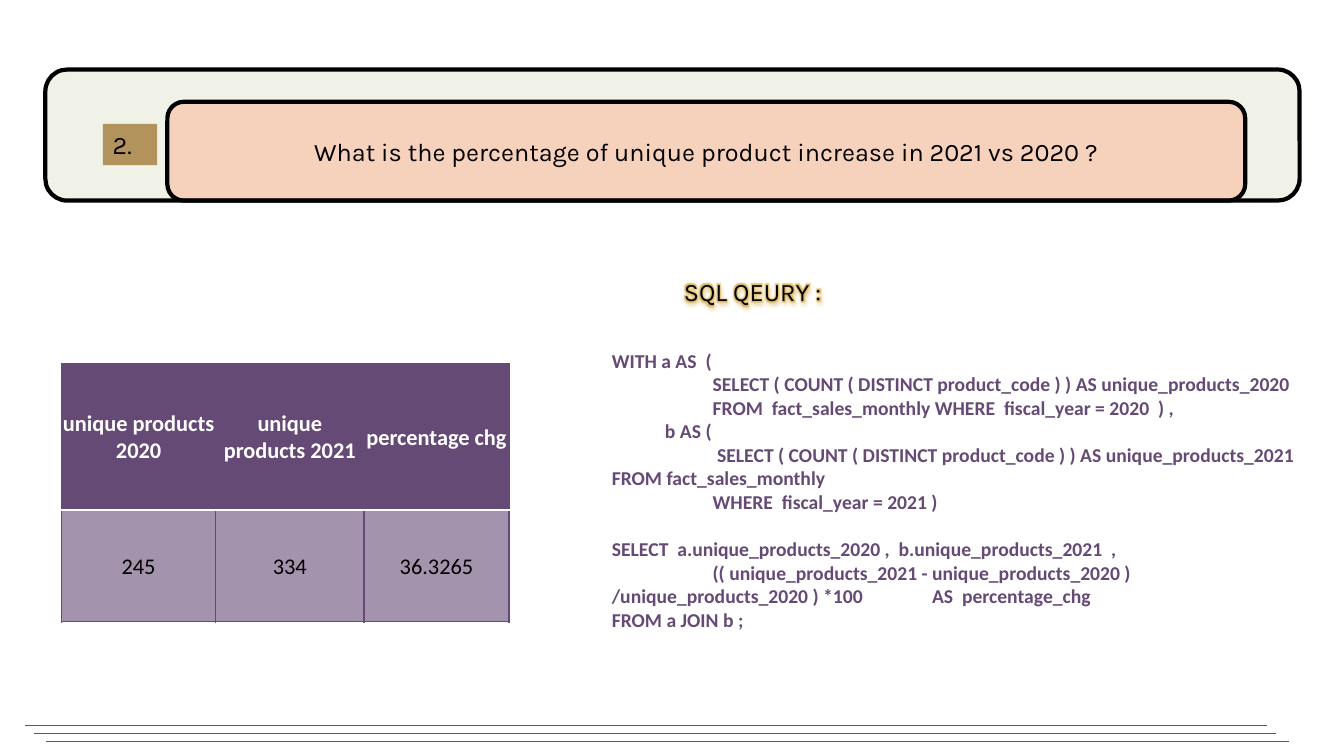
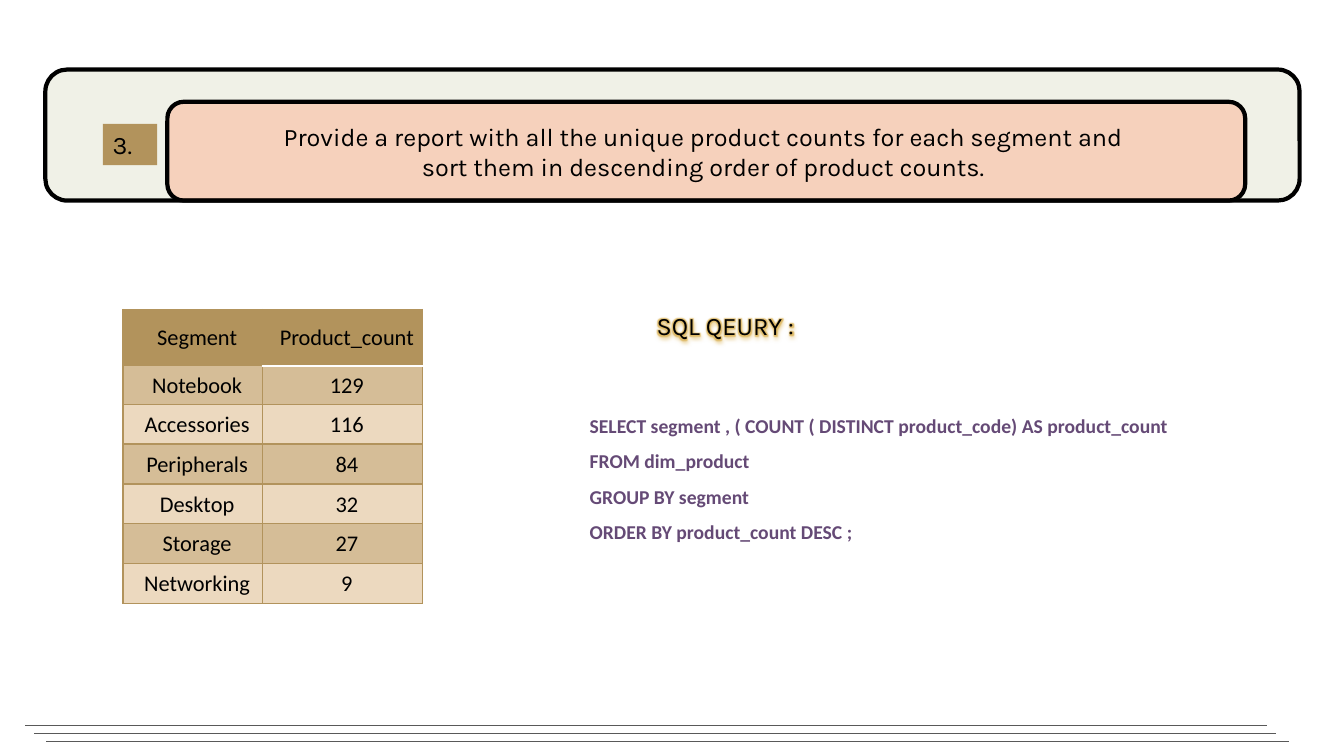
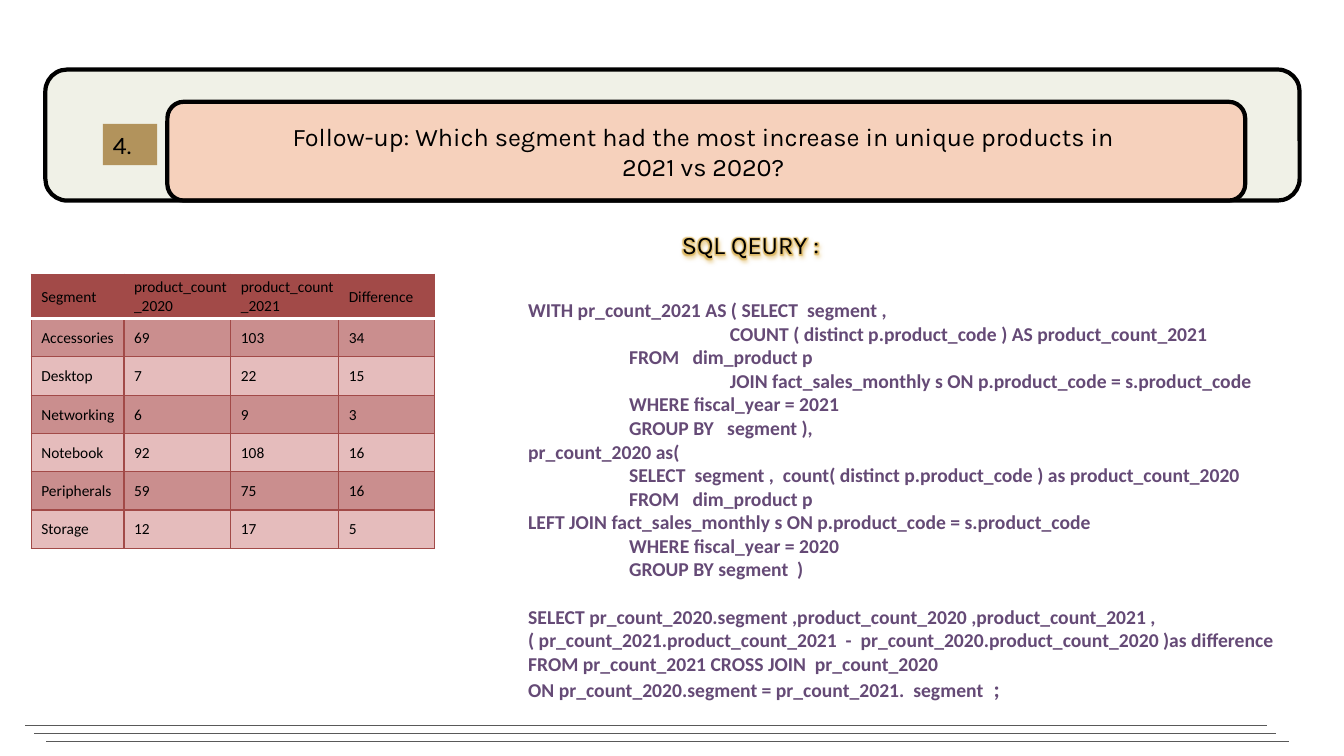
from dataclasses import dataclass

from pptx import Presentation
from pptx.dml.color import RGBColor
from pptx.enum.shapes import MSO_CONNECTOR, MSO_SHAPE
from pptx.enum.text import MSO_ANCHOR, MSO_AUTO_SIZE, PP_ALIGN
from pptx.oxml import parse_xml
from pptx.oxml.ns import nsdecls, qn
from pptx.util import Inches, Pt


@dataclass(frozen=True)
class Theme:
    heading_font: str = "Karla"
    body_font: str = "Calibri"
    heading_size: int = 18
    code_size: int = 14
    text: str = "000000"
    light: str = "FFFFFF"
    band: str = "F0F1E7"
    question: str = "FDB292"
    purple: str = "654A76"
    purple_band: str = "A393AD"
    gold: str = "B2935C"
    gold_band: str = "D5BD97"
    gold_tint: str = "ECD9BF"
    red: str = "A24A48"
    red_band: str = "CA8E8E"
    red_tint: str = "E5BCBC"
    glow: str = "E0BC6A"
    rule: str = "595959"


THEME = Theme()


@dataclass(frozen=True)
class TableStyle:
    accent: str
    fills: tuple
    size: int
    align: PP_ALIGN = PP_ALIGN.CENTER
    header_color: str = THEME.text
    header_bold: bool = False
    left_margin: float = 0.1
    rule_from: int = 0  # first column with a white rule under its header


def rgb(value):
    return RGBColor.from_string(value)


def place(shape, left, top, width, height):
    shape.left, shape.top = Inches(left), Inches(top)
    shape.width, shape.height = Inches(width), Inches(height)


def add_run(paragraph, text, font, size, color, bold=False):
    run = paragraph.add_run()
    run.text = text
    run.font.name = font
    run.font.size = Pt(size)
    run.font.bold = bold
    run.font.color.rgb = rgb(color)
    return run


def add_heading_run(paragraph, text):
    return add_run(paragraph, text, THEME.heading_font, THEME.heading_size, THEME.text)


def add_box(slide, preset, bounds, fill, outlined=False):
    shape = slide.shapes.add_shape(preset, *map(Inches, bounds))
    shape.shadow.inherit = False
    shape.fill.solid()
    shape.fill.fore_color.rgb = rgb(fill)
    if outlined:
        shape.line.color.rgb = rgb(THEME.text)
        shape.line.width = Pt(3)
    else:
        shape.line.fill.background()
    return shape


def add_text_box(slide, bounds):
    text_box = slide.shapes.add_textbox(*map(Inches, bounds))
    text_box.text_frame.word_wrap = True
    return text_box


def format_title(title, bounds, lines):
    place(title, *bounds)
    frame = title.text_frame
    frame.auto_size = MSO_AUTO_SIZE.NONE
    frame.vertical_anchor = MSO_ANCHOR.MIDDLE
    paragraph = frame.paragraphs[0]
    paragraph.alignment = PP_ALIGN.CENTER
    for index, line in enumerate(lines):
        if index:
            paragraph.add_line_break()
        add_heading_run(paragraph, line)


def add_question_header(slide, number, lines):
    band = add_box(slide, MSO_SHAPE.ROUNDED_RECTANGLE,
                   (0.45, 0.69, 12.44, 1.3), THEME.band, outlined=True)
    panel_bounds = (1.66, 1.01, 10.69, 0.98)
    panel = add_box(slide, MSO_SHAPE.ROUNDED_RECTANGLE, panel_bounds,
                    THEME.question, outlined=True)
    panel_color = panel._element.spPr.find(qn("a:solidFill"))[0]
    panel_color.append(parse_xml(f'<a:alpha {nsdecls("a")} val="50000"/>'))
    title = slide.shapes.title
    for backdrop in (band, panel):
        title._element.addprevious(backdrop._element)
    format_title(title, panel_bounds, lines)
    badge = add_box(slide, MSO_SHAPE.RECTANGLE, (1.02, 1.23, 0.54, 0.41), THEME.gold)
    badge.text_frame.vertical_anchor = MSO_ANCHOR.TOP
    paragraph = badge.text_frame.paragraphs[0]
    paragraph.alignment = PP_ALIGN.LEFT
    add_heading_run(paragraph, f"{number}.")


def add_footer_rules(slide):
    for left, top in ((0.25, 7.2), (0.34, 7.28), (0.46, 7.36)):
        rule = slide.shapes.add_connector(
            MSO_CONNECTOR.STRAIGHT, Inches(left), Inches(top),
            Inches(left + 12.32), Inches(top))
        rule.line.color.rgb = rgb(THEME.rule)
        rule.line.width = Pt(0.75)
        rule._element.spPr.append(parse_xml(f'<a:effectLst {nsdecls("a")}/>'))


def effect_list(effect, attributes):
    return parse_xml(
        f'<a:effectLst {nsdecls("a")}><a:{effect} {attributes}>'
        f'<a:srgbClr val="{THEME.glow}"/></a:{effect}></a:effectLst>')


def add_query_heading(slide, left, top):
    text_box = add_text_box(slide, (left, top, 2.73, 0.46))
    text_box._element.spPr.append(effect_list(
        "outerShdw", 'blurRad="38100" dist="25400" dir="4500000" algn="ctr" rotWithShape="0"'))
    text_box.text_frame.vertical_anchor = MSO_ANCHOR.BOTTOM
    paragraph = text_box.text_frame.paragraphs[0]
    paragraph.alignment = PP_ALIGN.CENTER
    paragraph.line_spacing = 0.9
    run = add_heading_run(paragraph, "SQL QEURY :")
    text_fill = run.font._element.find(qn("a:solidFill"))
    text_fill.addnext(effect_list("glow", 'rad="63500"'))


def add_code_run(paragraph, text, size=THEME.code_size):
    add_run(paragraph, text, THEME.body_font, size, THEME.purple, bold=True)


def add_code(slide, bounds, statements, line_spacing=None):
    """Write statements, each a list of lines, one line apart; return the last paragraph."""
    frame = add_text_box(slide, bounds).text_frame
    paragraph = None
    for statement in statements:
        for index, line in enumerate(statement):
            is_first = paragraph is None
            paragraph = frame.paragraphs[0] if is_first else frame.add_paragraph()
            paragraph._p.get_or_add_pPr().set("defTabSz", str(Inches(1)))
            if index == 0 and not is_first:
                paragraph.space_before = Pt(17)
            if line_spacing:
                paragraph.line_spacing = line_spacing
            add_code_run(paragraph, line)
    return paragraph


def set_borders(cell, accent, white_sides):
    properties = cell._tc.get_or_add_tcPr()
    for side in "LRTB":
        color, width = (THEME.light, 2.25) if side in white_sides else (accent, 1)
        properties.append(parse_xml(
            f'<a:ln{side} {nsdecls("a")} w="{Pt(width)}"><a:solidFill>'
            f'<a:srgbClr val="{color}"/></a:solidFill></a:ln{side}>'))


def add_result_table(slide, position, widths, heights, rows, style):
    frame = slide.shapes.add_table(
        len(rows), len(widths), *map(Inches, (*position, sum(widths), sum(heights))))
    table = frame.table
    table.horz_banding = False
    for column, width in zip(table.columns, widths):
        column.width = Inches(width)
    for row, height in zip(table.rows, heights):
        row.height = Inches(height)
    for row_index, values in enumerate(rows):
        is_header = row_index == 0
        fill = style.accent if is_header else style.fills[(row_index - 1) % len(style.fills)]
        white_side = {0: "B", 1: "T"}.get(row_index, "")
        for column_index, value in enumerate(values):
            cell = table.cell(row_index, column_index)
            cell.vertical_anchor = MSO_ANCHOR.MIDDLE
            cell.margin_left = Inches(style.left_margin)
            cell.margin_right = cell.margin_top = Inches(0.01)
            cell.margin_bottom = 0
            set_borders(cell, style.accent,
                        white_side if column_index >= style.rule_from else "")
            cell.fill.solid()
            cell.fill.fore_color.rgb = rgb(fill)
            paragraph = cell.text_frame.paragraphs[0]
            paragraph.alignment = style.align
            add_run(paragraph, value, THEME.body_font, style.size,
                    style.header_color if is_header else THEME.text,
                    bold=is_header and style.header_bold)


def add_question_slide(presentation, number, lines):
    title_only = presentation.slide_layouts.get_by_name("Title Only")
    slide = presentation.slides.add_slide(title_only)
    add_question_header(slide, number, lines)
    add_footer_rules(slide)
    return slide


def build_percentage_slide(presentation):
    slide = add_question_slide(presentation, 2, [
        "What is the percentage of unique product increase in 2021 vs 2020 ?"])
    add_result_table(
        slide, (0.61, 3.61), (1.53, 1.47, 1.44), (1.45, 1.11),
        [("unique products 2020", "unique products 2021", "percentage chg"),
         ("245", "334", "36.3265")],
        TableStyle(THEME.purple, (THEME.purple_band,), 16, header_color=THEME.light,
                   header_bold=True, left_margin=0.01))
    add_query_heading(slide, 6.1, 2.63)
    add_code(slide, (5.97, 3.41, 7.1, 3.16), [
        ["WITH a AS  (",
         "\tSELECT ( COUNT ( DISTINCT product_code ) ) AS unique_products_2020",
         "\tFROM  fact_sales_monthly WHERE  fiscal_year = 2020  ) ,",
         "            b AS (",
         "\t SELECT ( COUNT ( DISTINCT product_code ) ) AS unique_products_2021"
         "\tFROM fact_sales_monthly",
         "\tWHERE  fiscal_year = 2021 )"],
        ["SELECT  a.unique_products_2020 ,  b.unique_products_2021  ,",
         "\t(( unique_products_2021 - unique_products_2020 ) "
         "\t/unique_products_2020 ) *100\t    AS  percentage_chg",
         "FROM a JOIN b ;"]])


def build_segment_slide(presentation):
    slide = add_question_slide(presentation, 3, [
        "Provide a report with all the unique product counts for each segment and ",
        "sort them in descending order of product counts. "])
    header_height, first_height, total_height = 0.56, 0.38, 2.92
    other_height = (total_height - header_height - first_height) / 5
    add_result_table(
        slide, (1.22, 3.07), (1.38, 1.59),
        (header_height, first_height, *[other_height] * 5),
        [("Segment", "Product_count"),
         ("Notebook", "129"),
         ("Accessories", "116"),
         ("Peripherals", "84"),
         ("Desktop", "32"),
         ("Storage", "27"),
         ("Networking", "9")],
        TableStyle(THEME.gold, (THEME.gold_band, THEME.gold_tint), 16, rule_from=1))
    add_query_heading(slide, 5.83, 2.97)
    add_code(slide, (5.75, 3.94, 6.67, 1.51), [
        ["SELECT segment , ( COUNT ( DISTINCT product_code) AS product_count",
         "FROM dim_product",
         "GROUP BY segment",
         "ORDER BY product_count DESC ;"]], line_spacing=1.5)


def build_increase_slide(presentation):
    slide = add_question_slide(presentation, 4, [
        "Follow-up: Which segment had the most increase in unique products in ",
        "2021 vs 2020? "])
    add_result_table(
        slide, (0.31, 2.72), (0.92, 1.06, 1.07, 0.95), (0.44, *[0.38] * 6),
        [("Segment", "product_count_2020", "product_count_2021", "Difference"),
         ("Accessories", "69", "103", "34"),
         ("Desktop", "7", "22", "15"),
         ("Networking", "6", "9", "3"),
         ("Notebook", "92", "108", "16"),
         ("Peripherals", "59", "75", "16"),
         ("Storage", "12", "17", "5")],
        TableStyle(THEME.red, (THEME.red_band, THEME.red_tint), 11, align=PP_ALIGN.LEFT))
    add_query_heading(slide, 6.08, 2.17)
    last_line = add_code(slide, (5.14, 2.91, 7.75, 4.14), [
        ["WITH pr_count_2021 AS ( SELECT  segment ,",
         "\t\tCOUNT ( distinct p.product_code ) AS product_count_2021",
         "\tFROM   dim_product p",
         "\t\tJOIN fact_sales_monthly s ON p.product_code = s.product_code",
         "\tWHERE fiscal_year = 2021",
         "\tGROUP BY   segment ),",
         "pr_count_2020 as(",
         "\tSELECT  segment ,  count( distinct p.product_code ) as product_count_2020",
         "\tFROM   dim_product p",
         "LEFT JOIN fact_sales_monthly s ON p.product_code = s.product_code",
         "\tWHERE fiscal_year = 2020",
         "\tGROUP BY segment  )"],
        ["SELECT pr_count_2020.segment ,product_count_2020 ,product_count_2021 ,",
         "( pr_count_2021.product_count_2021  -  pr_count_2020.product_count_2020 )as difference",
         "FROM pr_count_2021 CROSS JOIN  pr_count_2020",
         "ON pr_count_2020.segment = pr_count_2021.  segment "]])
    add_code_run(last_line, " ;", size=16)


def main():
    presentation = Presentation()
    presentation.slide_width = Inches(13.33)
    presentation.slide_height = Inches(7.5)
    build_percentage_slide(presentation)
    build_segment_slide(presentation)
    build_increase_slide(presentation)
    presentation.save("out.pptx")


if __name__ == "__main__":
    main()
